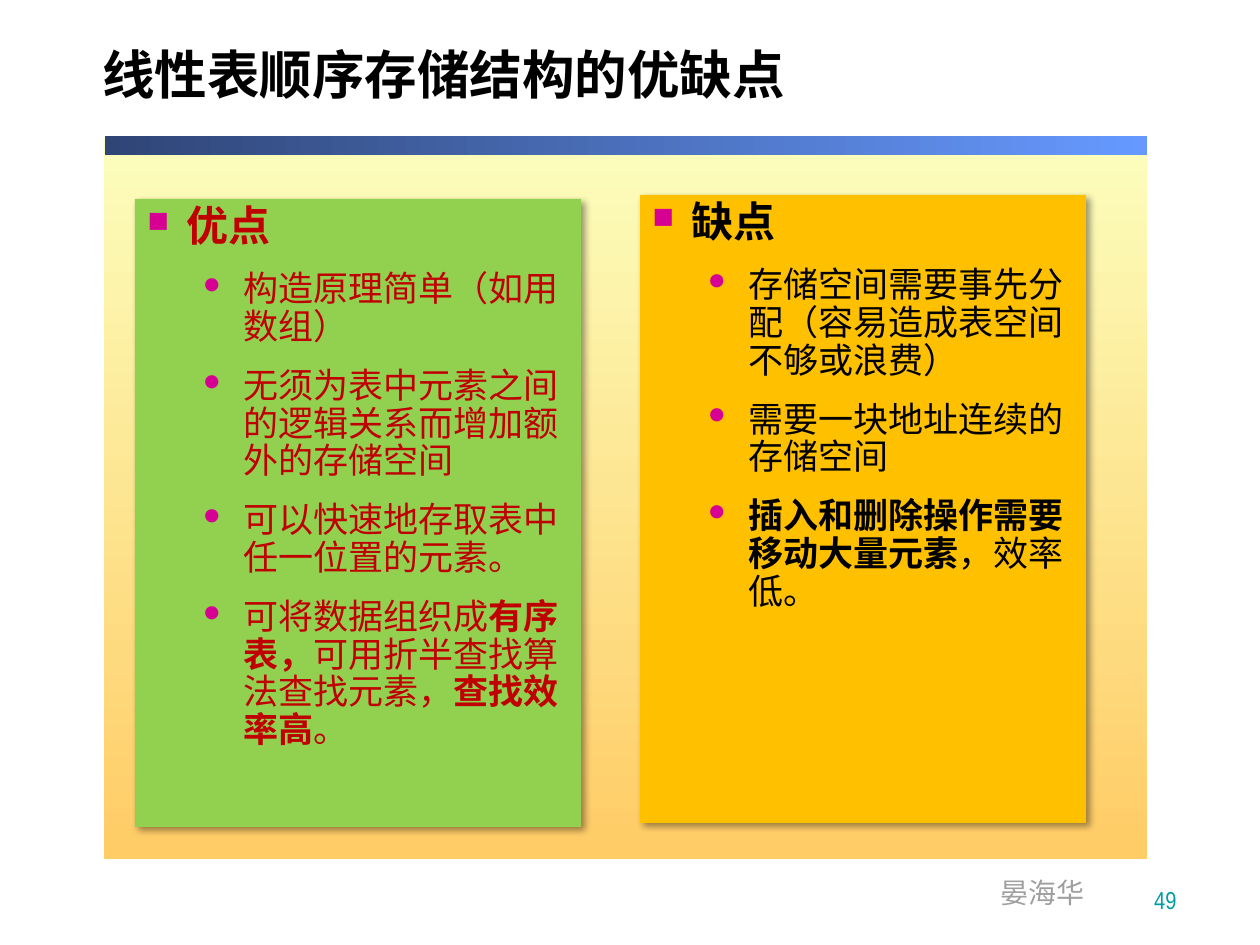
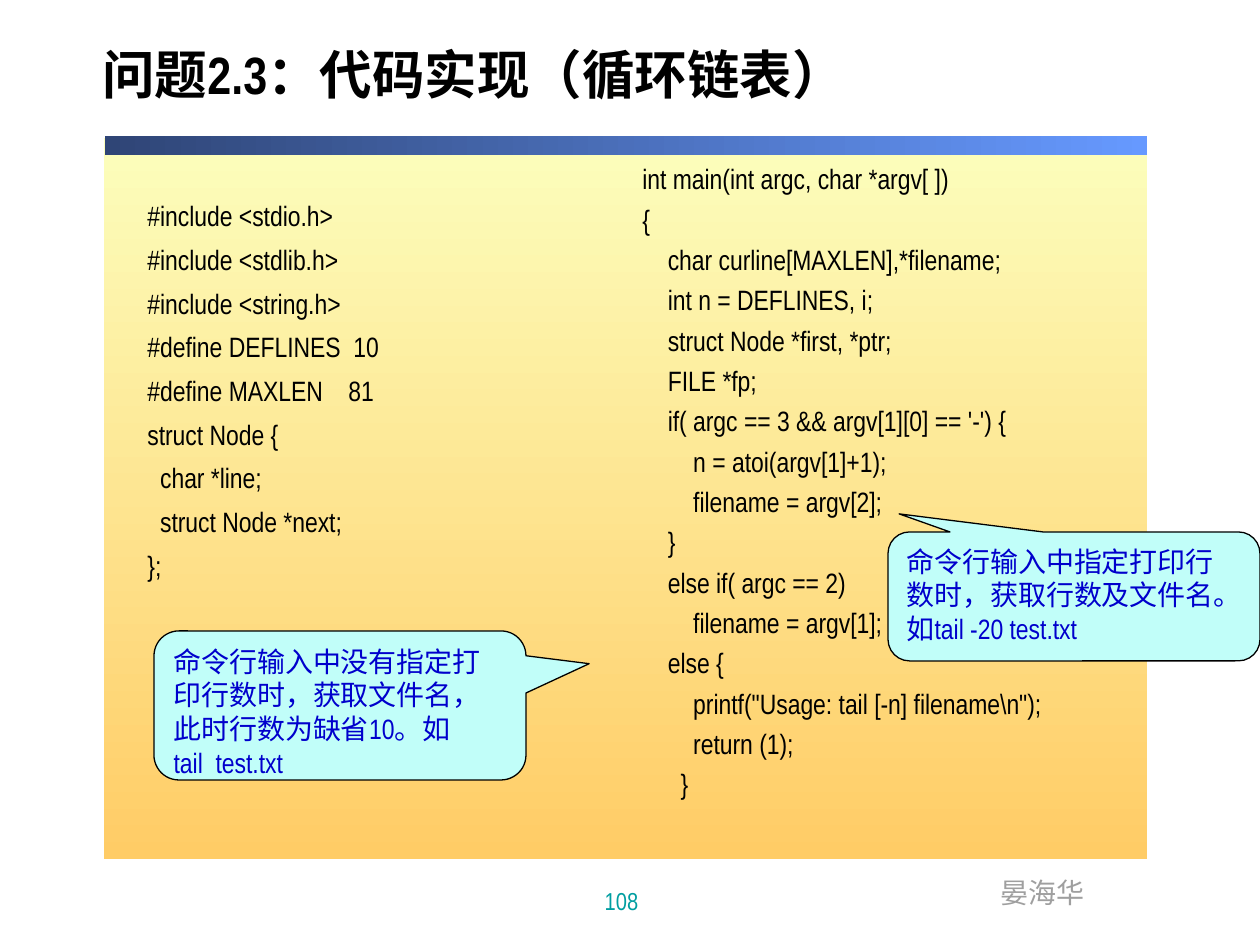
from typing import NamedTuple

from lxml.etree import SubElement
from pptx import Presentation
from pptx.dml.color import RGBColor
from pptx.enum.shapes import MSO_SHAPE
from pptx.enum.text import MSO_ANCHOR, PP_ALIGN
from pptx.oxml.ns import qn
from pptx.util import Emu, Pt

PX = 914400 / 126

BLACK = RGBColor(0x00, 0x00, 0x00)
CREAM = RGBColor(0xFC, 0xFE, 0xBC)
APRICOT = RGBColor(0xFF, 0xCC, 0x66)
NAVY = RGBColor(0x2F, 0x45, 0x76)
SKY = RGBColor(0x66, 0x99, 0xFF)
GREY = RGBColor(0x9F, 0x9F, 0x9F)
TEAL = RGBColor(0x00, 0x9E, 0xA1)
GREEN = RGBColor(0x92, 0xD0, 0x50)
AMBER = RGBColor(0xFF, 0xC0, 0x00)
DARK_RED = RGBColor(0xC0, 0x00, 0x00)
MAGENTA = RGBColor(0xD6, 0x00, 0x93)
AQUA = RGBColor(0xC1, 0xFE, 0xF9)
BLUE = RGBColor(0x00, 0x00, 0xCC)

NARROW = "Arial Narrow"
CJK = "Noto Sans CJK SC"


class Box(NamedTuple):
    """A region in px."""
    left: int
    top: int
    width: int
    height: int

    def emu(self):
        return [Emu(round(side * PX)) for side in self]


class Bullet(NamedTuple):
    """A Wingdings letter and its size in percent of the text."""
    letter: str
    percent: int


SQUARE = Bullet("n", 70)
DOT = Bullet("l", 65)

PANEL = Box(104, 138, 1043, 721)
BAND = Box(105, 136, 1042, 19)
TITLE = Box(90, 21, 1129, 116)
AUTHOR = Box(988, 869, 110, 47)
LEFT_BODY = Box(135, 199, 446, 628)
RIGHT_BODY = Box(640, 195, 446, 628)

ADVANTAGES = [
    "构造原理简单（如用数组）",
    "无须为表中元素之间的逻辑关系而增加额外的存储空间",
    "可以快速地存取表中任一位置的元素。",
    [("可将数据组织成", False), ("有序表，", True),
     ("可用折半查找算法查找元素，", False), ("查找效率高", True), ("。", False)],
]
DRAWBACKS = [
    "存储空间需要事先分配（容易造成表空间不够或浪费）",
    "需要一块地址连续的存储空间",
    [("插入和删除操作需要移动大量元素", True), ("，效率低。", False)],
]

DECLARATIONS = """\
#include <stdio.h>
#include <stdlib.h>
#include <string.h>
#define DEFLINES  10
#define MAXLEN    81
struct Node {
  char *line;
  struct Node *next;
};"""

MAIN_FUNCTION = r"""int main(int argc, char *argv[ ])
{
    char curline[MAXLEN],*filename;
    int n = DEFLINES, i;
    struct Node *first, *ptr;
    FILE *fp;
    if( argc == 3 && argv[1][0] == '-') {
        n = atoi(argv[1]+1);
        filename = argv[2];
    }
    else if( argc == 2)
        filename = argv[1];
    else {
        printf("Usage: tail [-n] filename\n");
        return (1);
      }"""


def add_bullet(properties, bullet):
    color = SubElement(properties, qn("a:buClr"))
    SubElement(color, qn("a:srgbClr"), val=str(MAGENTA))
    SubElement(properties, qn("a:buSzPct"), val=str(bullet.percent * 1000))
    SubElement(properties, qn("a:buFont"), typeface="Wingdings")
    SubElement(properties, qn("a:buChar"), char=bullet.letter)


def add_paragraph(frame, content, *, size, color, font=NARROW, bold=False,
                  align=PP_ALIGN.LEFT, line=None, before=0, indent=0, hanging=0,
                  level=0, bullet=None):
    """Content is a string or (text, bold) pairs; before is a percentage."""
    first = frame.paragraphs[0]
    paragraph = frame.add_paragraph() if first.runs else first
    paragraph.alignment = align
    paragraph.level = level
    paragraph.line_spacing = line
    properties = paragraph._p.get_or_add_pPr()
    properties.set("marL", str(round(indent * PX)))
    properties.set("indent", str(round(-hanging * PX)))
    if before:
        spacing = SubElement(properties, qn("a:spcBef"))
        SubElement(spacing, qn("a:spcPct"), val=str(before * 1000))
    if bullet:
        add_bullet(properties, bullet)
    else:
        SubElement(properties, qn("a:buNone"))

    pieces = [(content, bold)] if isinstance(content, str) else content
    for text, heavy in pieces:
        run = paragraph.add_run()
        run.text = text
        run.font.size = Pt(size)
        run.font.bold = heavy
        run.font.color.rgb = color
        run.font.name = font
        SubElement(run._r.get_or_add_rPr(), qn("a:ea"), typeface=CJK)


def add_text_frame(slide, box, anchor=MSO_ANCHOR.TOP, wrap=True):
    frame = slide.shapes.add_textbox(*box.emu()).text_frame
    frame.word_wrap = wrap
    frame.vertical_anchor = anchor
    return frame


def add_plain_shape(slide, kind, box):
    """Adds a shape without shadow or outline, its text at the top left."""
    shape = slide.shapes.add_shape(kind, *box.emu())
    shape.shadow.inherit = False
    shape.line.fill.background()
    shape.text_frame.word_wrap = True
    shape.text_frame.vertical_anchor = MSO_ANCHOR.TOP
    return shape


def add_gradient(slide, box, start, end, angle):
    fill = add_plain_shape(slide, MSO_SHAPE.RECTANGLE, box).fill
    fill.gradient()
    fill.gradient_angle = angle
    for stop, color in zip(fill.gradient_stops, (start, end)):
        stop.color.rgb = color


def add_page(presentation, title, number, number_box, number_align):
    """Adds a slide with the background, title and footer that all share."""
    slide = presentation.slides.add_slide(presentation.slide_layouts[6])
    add_gradient(slide, PANEL, CREAM, APRICOT, 270)
    add_gradient(slide, BAND, NAVY, SKY, 0)
    add_paragraph(add_text_frame(slide, AUTHOR, wrap=False), "晏海华",
                  size=16, color=GREY)
    add_paragraph(add_text_frame(slide, TITLE, MSO_ANCHOR.MIDDLE), title,
                  size=30, color=BLACK, bold=True, line=0.8)
    add_paragraph(add_text_frame(slide, number_box, MSO_ANCHOR.BOTTOM), number,
                  size=14, color=TEAL, align=number_align, before=50)
    return slide


def add_soft_shadow(shape):
    effects = shape._element.spPr.find(qn("a:effectLst"))
    shadow = SubElement(effects, qn("a:outerShdw"), blurRad=str(Pt(4)),
                        dist=str(Pt(3)), dir=str(45 * 60000), algn="tl",
                        rotWithShape="0")
    color = SubElement(shadow, qn("a:srgbClr"), val=str(BLACK))
    SubElement(color, qn("a:alpha"), val="40000")


def add_card(slide, box, heading, points, fill, color):
    card = add_plain_shape(slide, MSO_SHAPE.RECTANGLE, box)
    card.fill.solid()
    card.fill.fore_color.rgb = fill
    add_soft_shadow(card)
    add_paragraph(card.text_frame, heading, size=24, color=color, bold=True,
                  line=0.9, before=60, indent=39, hanging=39, bullet=SQUARE)
    for point in points:
        add_paragraph(card.text_frame, point, size=20, color=color, font=CJK,
                      line=0.9, before=60, indent=96, hanging=40, level=1,
                      bullet=DOT)


def add_code(slide, box, code, line):
    frame = add_text_frame(slide, box)
    for statement in code.splitlines():
        add_paragraph(frame, statement, size=16, color=BLACK, line=line,
                      before=60, indent=39, hanging=39)


def add_callout(slide, box, tip, paragraphs):
    """Tip is the pointer's end, as shares of the box from its centre."""
    callout = add_plain_shape(slide, MSO_SHAPE.ROUNDED_RECTANGULAR_CALLOUT, box)
    for index, share in enumerate((*tip, 0.167)):
        callout.adjustments[index] = share
    callout.fill.solid()
    callout.fill.fore_color.rgb = AQUA
    callout.line.color.rgb = BLACK
    callout.line.width = Pt(0.75)
    for paragraph in paragraphs:
        add_paragraph(callout.text_frame, paragraph, size=16, color=BLUE)


def build_comparison(presentation):
    slide = add_page(presentation, "线性表顺序存储结构的优缺点", "49",
                     Box(927, 858, 262, 63), PP_ALIGN.RIGHT)
    add_card(slide, LEFT_BODY, "优点", ADVANTAGES, GREEN, DARK_RED)
    add_card(slide, RIGHT_BODY, "缺点", DRAWBACKS, AMBER, BLACK)


def build_code_listing(presentation):
    slide = add_page(presentation, "问题2.3：代码实现（循环链表）", "108",
                     Box(422, 859, 399, 63), PP_ALIGN.CENTER)
    add_code(slide, LEFT_BODY, DECLARATIONS, 0.8)
    add_code(slide, Box(630, 165, 505, 680), MAIN_FUNCTION, 0.7)
    add_callout(slide, Box(888, 532, 372, 129), (-0.47, -0.64),
                ["命令行输入中指定打印行数时，获取行数及文件名。如tail -20 test.txt"])
    add_callout(slide, Box(154, 631, 372, 149), (0.67, -0.28),
                ["命令行输入中没有指定打印行数时，获取文件名，此时行数为缺省10。如",
                 "tail  test.txt"])


def main():
    presentation = Presentation()
    presentation.slide_width = Emu(round(1260 * PX))
    presentation.slide_height = Emu(round(945 * PX))
    build_comparison(presentation)
    build_code_listing(presentation)
    presentation.save("out.pptx")


if __name__ == "__main__":
    main()
